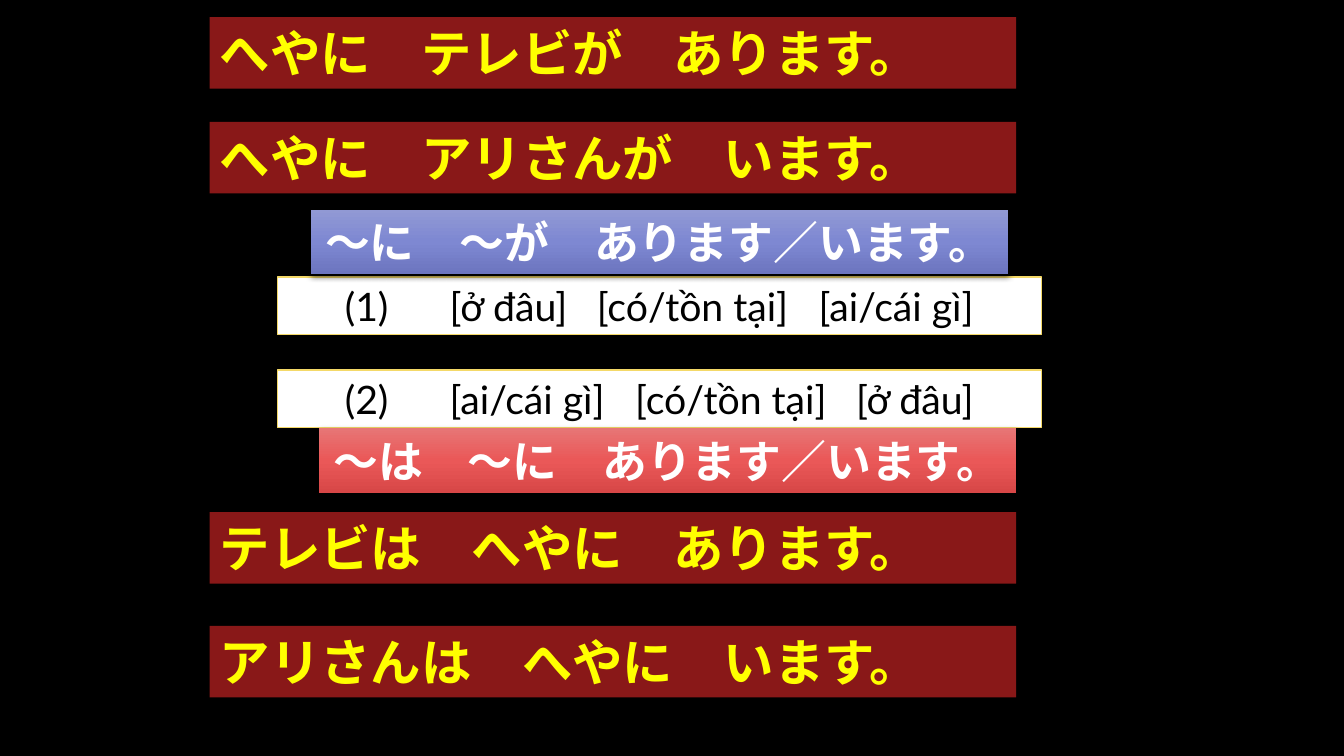
import copy
import pptx
import pptx.dml.color
import pptx.enum.shapes
import pptx.enum.text
import pptx.oxml
import pptx.oxml.ns
import pptx.util
from pptx.util import Inches

LATIN = "Lato"
KANA = "Noto Sans CJK JP"
ALIGN = pptx.enum.text.PP_ALIGN


def color(code):
    """Turn a hex string into a color."""
    return pptx.dml.color.RGBColor.from_string(code)


def add_node(parent, tag, **attrs):
    """Append a drawing element with its attributes."""
    node = parent.makeelement(pptx.oxml.ns.qn(tag), attrs)
    parent.append(node)
    return node


def add_bar(slide, box, text, size, font, ink, bold=True, align=ALIGN.LEFT, tabs=()):
    """Draw a plain bar with one line of text in the given box."""
    bar = slide.shapes.add_shape(
        pptx.enum.shapes.MSO_SHAPE.RECTANGLE, *[Inches(n) for n in box])
    bar.shadow.inherit = False
    bar.line.fill.background()
    frame = bar.text_frame
    frame.word_wrap = True
    frame.auto_size = pptx.enum.text.MSO_AUTO_SIZE.SHAPE_TO_FIT_TEXT
    frame.vertical_anchor = pptx.enum.text.MSO_ANCHOR.TOP
    frame.text = text
    line = frame.paragraphs[0]
    line.alignment = align
    if tabs:
        stops = add_node(line._p.get_or_add_pPr(), "a:tabLst")
        for stop in tabs:
            add_node(stops, "a:tab", pos=str(Inches(stop)), algn="l")
    for run in line.runs:
        run.font.size = pptx.util.Pt(size)
        run.font.bold = bold
        run.font.color.rgb = color(ink)
        run.font.name = font
        add_node(run._r.get_or_add_rPr(), "a:ea", typeface=font)
    return bar


def add_sample(slide, box, text):
    """Draw a dark red bar with a sample sentence."""
    bar = add_bar(slide, box, text, 36, KANA, "FFFF00")
    bar.fill.solid()
    bar.fill.fore_color.rgb = color("891818")


def add_gloss(slide, box, text, tabs):
    """Draw a white bar that glosses the word order."""
    bar = add_bar(slide, box, text, 28, LATIN, "000000", bold=False, tabs=tabs)
    bar.text_frame.margin_left = Inches(0.67)
    bar.fill.solid()
    bar.fill.fore_color.rgb = color("FFFFFF")
    bar.line.color.rgb = color("F4D968")
    bar.line.width = pptx.util.Pt(1)


def add_pattern(slide, box, text, shades):
    """Draw a shaded bar with a sentence pattern and a soft shadow."""
    bar = add_bar(slide, box, text, 32, KANA, "FFFFFF", align=ALIGN.CENTER)
    bar.fill.gradient()
    bar.fill.gradient_angle = 270
    props = bar._element.spPr
    stops = props.find(".//" + pptx.oxml.ns.qn("a:gsLst"))
    stops.append(copy.deepcopy(stops[-1]))
    for place, (stop, shade) in enumerate(zip(bar.fill.gradient_stops, shades)):
        stop.position = place / 2
        stop.color.rgb = color(shade)
    effects = props.find(pptx.oxml.ns.qn("a:effectLst"))
    shadow = add_node(effects, "a:outerShdw", blurRad=str(pptx.util.Pt(4.5)),
                      dist=str(pptx.util.Pt(1.5)), dir="5400000",
                      algn="ctr", rotWithShape="0")
    tint = add_node(shadow, "a:srgbClr", val="000000")
    add_node(tint, "a:alpha", val="63000")


def main():
    """Build the slide and save it."""
    deck = pptx.Presentation()
    deck.slide_width = Inches(13.33)
    deck.slide_height = Inches(7.5)
    slide = deck.slides.add_slide(deck.slide_layouts[6])
    slide.background.fill.solid()
    slide.background.fill.fore_color.rgb = color("000000")

    for top, text, tabs in (
        (2.75, "(1)\t[ở đâu]\t[có/tồn tại]\t[ai/cái gì]", (1.04, 2.5, 4.7)),
        (3.67, "(2)\t[ai/cái gì]\t[có/tồn tại]\t[ở đâu]", (1.04, 2.88, 5.07)),
    ):
        add_gloss(slide, (2.75, top, 7.58, 0.57), text, tabs)

    for top, text in (
        (0.17, "へやに　テレビが　あります。"),
        (1.21, "へやに　アリさんが　います。"),
        (5.08, "テレビは　へやに　あります。"),
        (6.21, "アリさんは　へやに　います。"),
    ):
        add_sample(slide, (2.08, top, 8, 0.71), text)

    for left, top, text, shades in (
        (3.08, 2.08, "～に　～が　あります／います。", ("9199D4", "7E88D2", "6C75BF")),
        (3.16, 4.25, "～は　～に　あります／います。", ("E77575", "EA5858", "D74747")),
    ):
        add_pattern(slide, (left, top, 6.92, 0.64), text, shades)

    deck.save("out.pptx")


if __name__ == "__main__":
    main()
